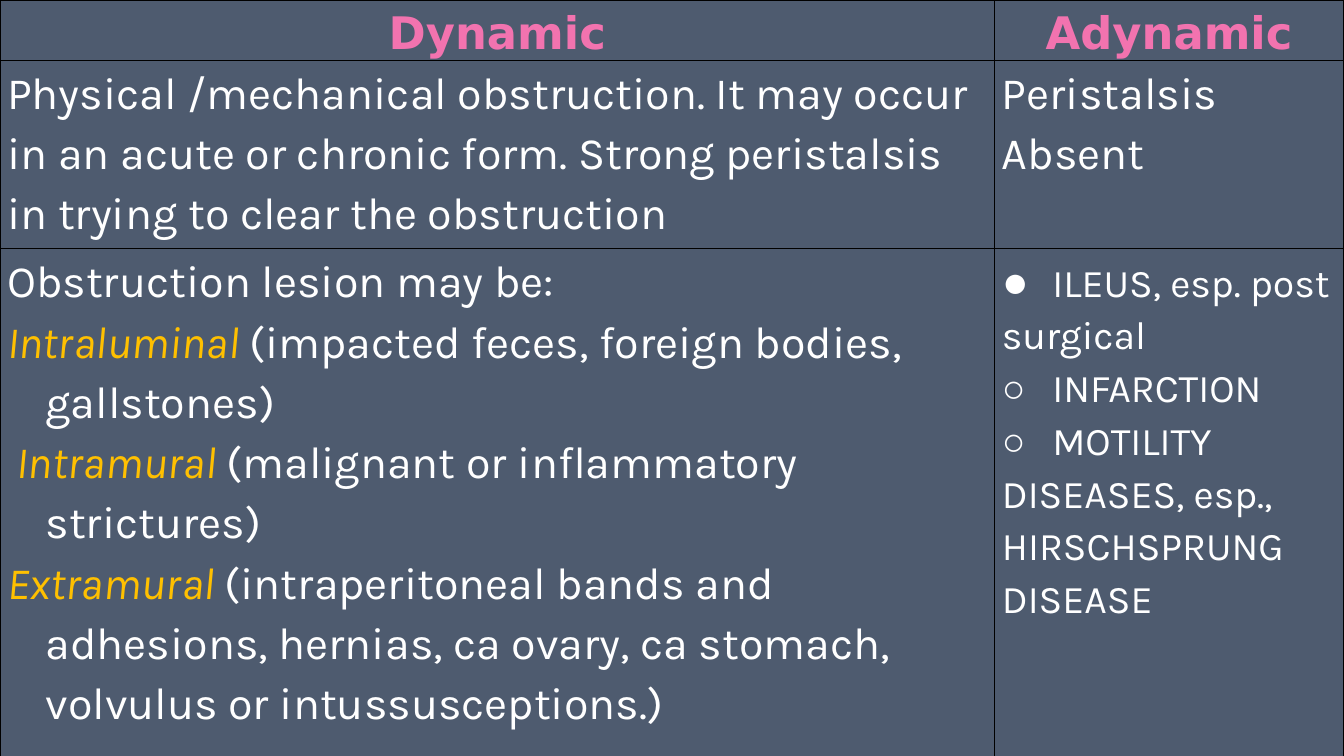
from lxml import etree
from pptx import Presentation
from pptx.dml.color import RGBColor
from pptx.enum.text import PP_ALIGN
from pptx.oxml import parse_xml
from pptx.oxml.ns import qn
from pptx.util import Cm, Pt

LEFT, CENTER = PP_ALIGN.LEFT, PP_ALIGN.CENTER
SLATE = RGBColor(0x4E, 0x5B, 0x6F)
PINK = RGBColor(0xF2, 0x73, 0xAF)
WHITE = RGBColor(0xFF, 0xFF, 0xFF)
AMBER = RGBColor(0xFF, 0xC0, 0x00)
BORDER = "000000"
NAMESPACE = "http://schemas.openxmlformats.org/drawingml/2006/main"

STYLES = {
    "heading": {"name": "DejaVu Sans", "size": Pt(32), "bold": True, "color": PINK},
    "body": {"name": "Karla", "size": Pt(32), "bold": False, "color": WHITE},
    "term": {"name": "Karla", "size": Pt(32), "bold": False, "italic": True, "color": AMBER},
    "large bullet": {"name": "Arial", "size": Pt(32), "bold": False, "color": WHITE},
    "bullet": {"name": "Arial", "size": Pt(28), "bold": False, "color": WHITE},
    "cause": {"name": "Karla", "size": Pt(28), "bold": False, "color": WHITE},
}
LAYOUTS = {
    "heading": {"align": CENTER},
    "plain": {"align": LEFT},
    "hanging": {"align": LEFT, "margin": Cm(0.97), "indent": Cm(-0.97)},
    "first cause": {"align": LEFT, "tab": Cm(1.25)},
    "cause": {"align": LEFT, "tab": Cm(1.1)},
}

ROWS = [
    [
        [("heading", [("Dynamic", "heading")])],
        [("heading", [("Adynamic", "heading")])],
    ],
    [
        [("plain", [("Physical /mechanical obstruction. It may occur in an acute or chronic form. "
                     "Strong peristalsis in trying to clear the obstruction", "body")])],
        [("plain", [("Peristalsis Absent", "body")])],
    ],
    [
        [
            ("plain", [("Obstruction lesion may be:", "body")]),
            ("hanging", [("Intraluminal ", "term"),
                         ("(impacted feces, foreign bodies, gallstones)", "body")]),
            ("hanging", [(" Intramural ", "term"),
                         ("(malignant or inflammatory strictures)", "body")]),
            ("hanging", [("Extramural ", "term"),
                         ("(intraperitoneal bands and adhesions, hernias, ca ovary, ca stomach, "
                          "volvulus or intussusceptions.)", "body")]),
        ],
        [
            ("first cause", [("●\t", "large bullet"), ("ILEUS, esp. post surgical", "cause")]),
            ("cause", [("○\t", "bullet"), ("INFARCTION", "cause")]),
            ("cause", [("○\t", "bullet"),
                       ("MOTILITY DISEASES, esp., HIRSCHSPRUNG DISEASE", "cause")]),
        ],
    ],
]
COLUMN_WIDTHS = [Cm(25.07), Cm(8.79)]
ROW_HEIGHTS = [Cm(1.52), Cm(4.75), Cm(12.85)]
CELL_FORMAT = {"margin_left": Cm(0.18), "margin_right": Cm(0.18),
               "margin_top": Cm(0), "margin_bottom": Cm(0)}


def write_paragraph(paragraph, layout, runs):
    paragraph.alignment = layout["align"]
    paragraph.line_spacing = 1.15
    properties = paragraph._p.get_or_add_pPr()
    properties.set("marL", str(layout.get("margin", 0)))
    properties.set("indent", str(layout.get("indent", 0)))
    if "tab" in layout:
        tabs = etree.SubElement(properties, qn("a:tabLst"))
        etree.SubElement(tabs, qn("a:tab"), pos=str(layout["tab"]), algn="l")
    for text, style in runs:
        run = paragraph.add_run()
        run.text = text
        for key, value in STYLES[style].items():
            if key == "color":
                run.font.color.rgb = value
            else:
                setattr(run.font, key, value)


def format_cell(cell):
    for key, value in CELL_FORMAT.items():
        setattr(cell, key, value)
    cell.fill.solid()
    cell.fill.fore_color.rgb = SLATE
    properties = cell._tc.get_or_add_tcPr()
    for position, side in enumerate(("lnL", "lnR", "lnT", "lnB")):
        properties.insert(position, parse_xml(
            f'<a:{side} xmlns:a="{NAMESPACE}" w="{Pt(1)}"><a:solidFill>'
            f'<a:srgbClr val="{BORDER}"/></a:solidFill></a:{side}>'))


def main():
    presentation = Presentation()
    presentation.slide_width, presentation.slide_height = Cm(33.87), Cm(19.05)
    slide = presentation.slides.add_slide(presentation.slide_layouts[6])
    table = slide.shapes.add_table(len(ROWS), len(COLUMN_WIDTHS), Cm(0), Cm(0),
                                   sum(COLUMN_WIDTHS), sum(ROW_HEIGHTS)).table
    table.first_row = table.horz_banding = False
    for column, width in zip(table.columns, COLUMN_WIDTHS):
        column.width = width
    for row, height, contents in zip(table.rows, ROW_HEIGHTS, ROWS):
        row.height = height
        for cell, paragraphs in zip(row.cells, contents):
            format_cell(cell)
            frame = cell.text_frame
            for index, (layout, runs) in enumerate(paragraphs):
                paragraph = frame.add_paragraph() if index else frame.paragraphs[0]
                write_paragraph(paragraph, LAYOUTS[layout], runs)
    presentation.save("out.pptx")


if __name__ == "__main__":
    main()
